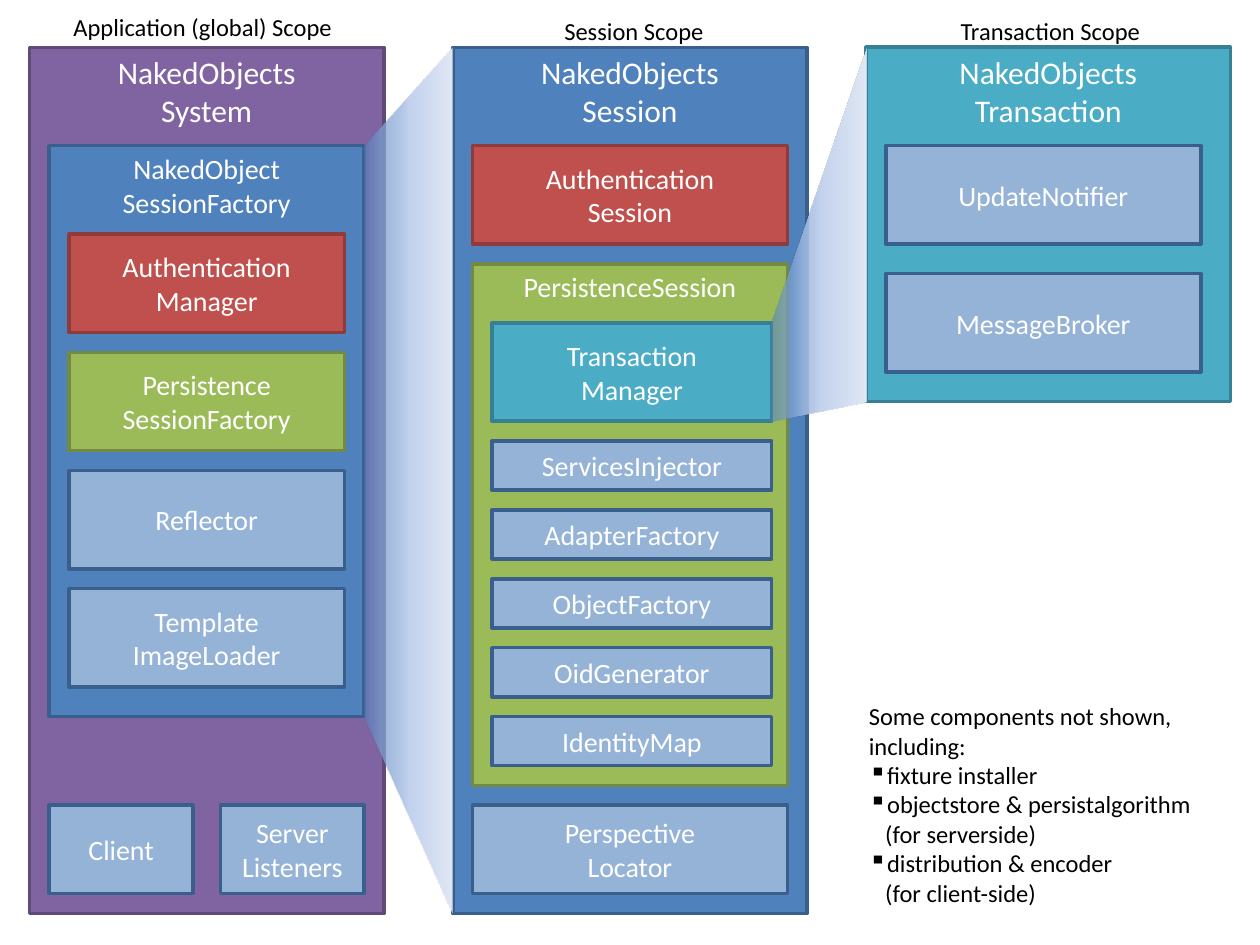
import pptx
import pptx.util
import pptx.dml.color
import pptx.enum.text
import pptx.enum.shapes
import pptx.oxml
import pptx.oxml.ns

RGBColor = pptx.dml.color.RGBColor
Anchor = pptx.enum.text.MSO_ANCHOR
Align = pptx.enum.text.PP_ALIGN

WHITE = RGBColor(0xFF, 0xFF, 0xFF)
BLACK = RGBColor(0, 0, 0)
PURPLE = RGBColor(0x80, 0x64, 0xA2)
BLUE = RGBColor(0x4F, 0x81, 0xBD)
PALE = RGBColor(0x95, 0xB3, 0xD7)
RED = RGBColor(0xC0, 0x50, 0x4D)
GREEN = RGBColor(0x9B, 0xBB, 0x59)
TEAL = RGBColor(0x4B, 0xAC, 0xC6)
NAVY = RGBColor(0x3A, 0x5F, 0x8C)
EDGES = {
    PURPLE: RGBColor(0x5F, 0x4A, 0x78),
    BLUE: NAVY,
    PALE: NAVY,
    RED: RGBColor(0x8E, 0x3B, 0x39),
    GREEN: RGBColor(0x73, 0x8A, 0x42),
    TEAL: RGBColor(0x37, 0x7F, 0x92),
}
GLOW = ((0, BLUE, 56), (50, RGBColor(0xC2, 0xD1, 0xED), 100),
        (100, RGBColor(0xE1, 0xE8, 0xF5), 100))

deck = pptx.Presentation()
deck.slide_width = pptx.util.Inches(10)
deck.slide_height = pptx.util.Inches(7.5)
slide = deck.slides.add_slide(deck.slide_layouts[6])
CELL = deck.slide_width / 64
TOP = 2.4


def grid(*cells):
    return [round(cell * CELL) for cell in cells]


def inner(box, left, top, width, height):
    return box[0] + left, box[1] + top, width, height


def style(para, size, color, align):
    para.font.name = "Calibri"
    para.font.size = pptx.util.Pt(size)
    para.font.color.rgb = color
    para.alignment = align


def block(box, text, fill, size=16, anchor=Anchor.MIDDLE):
    shape = slide.shapes.add_shape(
        pptx.enum.shapes.MSO_SHAPE.RECTANGLE, *grid(*box))
    shape.shadow.inherit = False
    shape.fill.solid()
    shape.fill.fore_color.rgb = fill
    shape.line.color.rgb = EDGES[fill]
    shape.line.width = pptx.util.Pt(2)
    frame = shape.text_frame
    frame.word_wrap = True
    frame.vertical_anchor = anchor
    frame.text = text
    style(frame.paragraphs[0], size, WHITE, Align.CENTER)


def label(box, items, align=Align.CENTER):
    frame = slide.shapes.add_textbox(*grid(*box)).text_frame
    frame.word_wrap = False
    frame.text = "\n".join(items)
    for para in frame.paragraphs:
        style(para, 14, BLACK, align)
    return frame.paragraphs


def scope(box, name, spot, text, fill):
    label(inner(box, *spot), [name])
    block(box, text, fill, 18, Anchor.TOP)


def system(box):
    scope(box, "Application (global) Scope", (1.5, -2.1, 14.6, 2.2),
          "NakedObjects\vSystem", PURPLE)
    block(inner(box, 1, 5, 16, 29), "NakedObject\vSessionFactory", BLUE,
          anchor=Anchor.TOP)
    parts = (("Authentication\vManager", RED),
             ("Persistence\vSessionFactory", GREEN),
             ("Reflector", PALE),
             ("Template\vImageLoader", PALE))
    for row, (text, fill) in enumerate(parts):
        block(inner(box, 2, 9.5 + 6 * row, 14, 5), text, fill)
    for col, text in enumerate(("Client", "Server\vListeners")):
        block(inner(box, 1 + 8.7 * col, 38.5, 7.3, 4.5), text, PALE)


def session(box):
    scope(box, "Session Scope", (5, -1.9, 8.4, 2.2),
          "NakedObjects\vSession", BLUE)
    block(inner(box, 1, 5, 16, 5), "Authentication\vSession", RED)
    block(inner(box, 1, 11, 16, 26.5), "PersistenceSession", GREEN,
          anchor=Anchor.TOP)
    block(inner(box, 2, 14, 14.2, 5), "Transaction\vManager", TEAL)
    parts = ("ServicesInjector", "AdapterFactory", "ObjectFactory",
             "OidGenerator", "IdentityMap")
    for row, text in enumerate(parts):
        block(inner(box, 2, 20 + 3.5 * row, 14.2, 2.5), text, PALE)
    block(inner(box, 1, 38.5, 16, 4.5), "Perspective\vLocator", PALE)


def trade(box):
    scope(box, "Transaction Scope", (4.1, -1.9, 10.5, 2.2),
          "NakedObjects\vTransaction", TEAL)
    for row, text in enumerate(("UpdateNotifier", "MessageBroker")):
        block(inner(box, 1, 5 + 6.5 * row, 16, 5), text, PALE)


def wedge(left, top, base, box):
    right, high, _, tall = box
    pen = slide.shapes.build_freeform(*grid(left, top))
    pen.add_line_segments([grid(right, high), grid(right, high + tall),
                           grid(left, base)], close=True)
    shape = pen.convert_to_shape()
    shape.shadow.inherit = False
    shape.line.fill.background()
    stops = "".join(
        f'<a:gs pos="{pos * 1000}"><a:srgbClr val="{color}">'
        f'<a:alpha val="{alpha * 1000}"/></a:srgbClr></a:gs>'
        for pos, color, alpha in GLOW)
    fill = pptx.oxml.parse_xml(
        f'<a:gradFill {pptx.oxml.ns.nsdecls("a")} rotWithShape="1">'
        f'<a:gsLst>{stops}</a:gsLst><a:lin ang="0" scaled="0"/></a:gradFill>')
    shape.element.spPr.find(pptx.oxml.ns.qn("a:custGeom")).addnext(fill)


def notes(box):
    paras = label(box, ["Some components not shown,\vincluding:",
                        "fixture installer",
                        "objectstore & persistalgorithm\v(for serverside)",
                        "distribution & encoder\v(for client-side)"],
                  Align.LEFT)
    hang = pptx.util.Inches(0.13)
    for para in paras[1:]:
        props = para._p.get_or_add_pPr()
        props.set("marL", str(hang))
        props.set("indent", str(-hang))
        mark = pptx.oxml.parse_xml(
            f'<a:buChar {pptx.oxml.ns.nsdecls("a")} char="▪"/>')
        props.find(pptx.oxml.ns.qn("a:defRPr")).addprevious(mark)


first = (1.5, TOP, 18, 44)
second = (23, TOP, 18, 44)
third = (44, TOP, 18.5, 18)
system(first)
session(second)
trade(third)
wedge(18.5, TOP + 5, TOP + 34, second)
wedge(39.2, TOP + 14, TOP + 19, third)
notes((43.5, 35.3, 17.7, 11.2))
deck.save("out.pptx")
